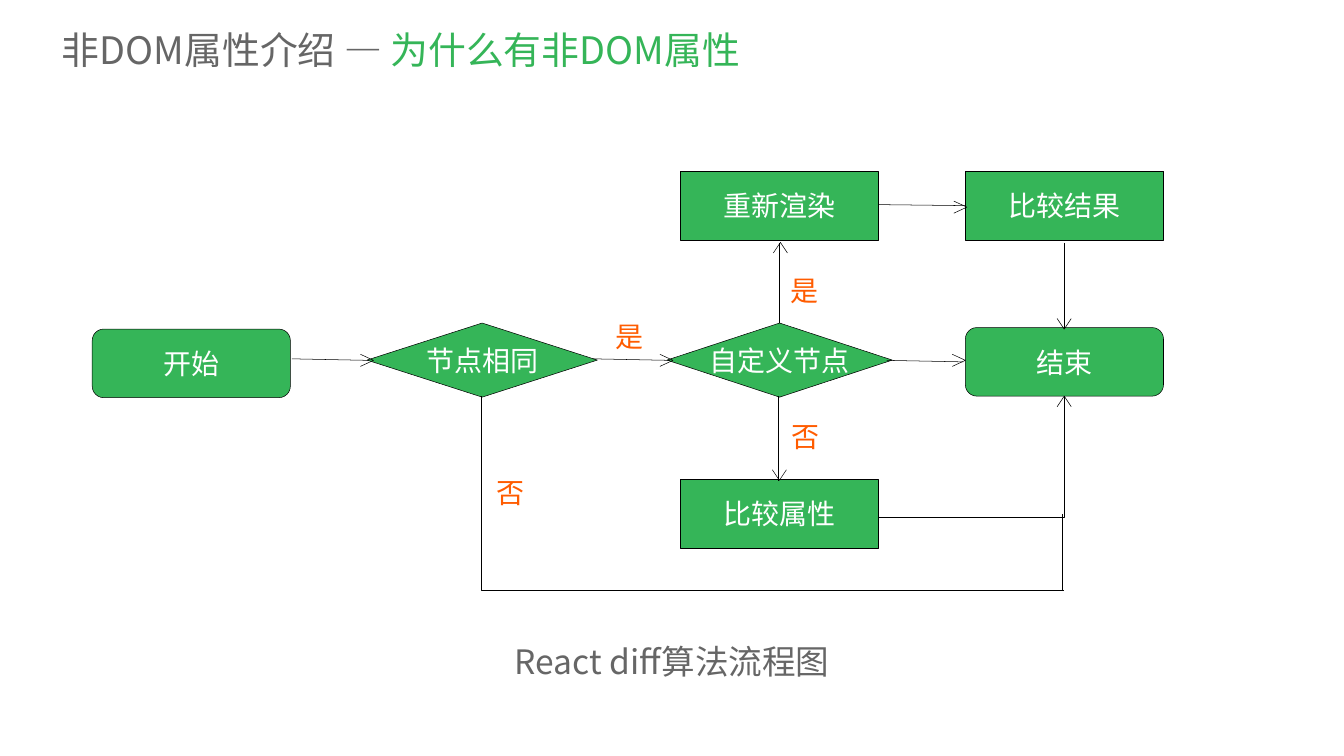
from dataclasses import dataclass

from lxml.etree import SubElement
from pptx import Presentation
from pptx.dml.color import RGBColor
from pptx.enum.shapes import MSO_CONNECTOR, MSO_SHAPE
from pptx.enum.text import MSO_ANCHOR, MSO_AUTO_SIZE, PP_ALIGN
from pptx.oxml.ns import qn
from pptx.util import Inches, Pt


@dataclass(frozen=True)
class Theme:
    green: str = "35B558"
    gray: str = "666666"
    orange: str = "FF5C00"
    white: str = "FFFFFF"
    black: str = "000000"
    latin: str = "Arial"
    asian: str = "Noto Sans CJK SC"
    title: int = 54
    note: int = 48
    body: int = 40
    line: float = 0.75
    thin: float = 0.5


def color(code):
    return RGBColor.from_string(code)


def add_run(para, text, *, size, fill, face, asian):
    run = para.add_run()
    run.text = text
    run.font.size = Pt(size)
    run.font.color.rgb = color(fill)
    run.font.name = face
    SubElement(run.font._element, qn("a:ea")).set("typeface", asian)


class Chart:
    def __init__(self, slide, theme):
        self.slide = slide
        self.theme = theme

    def stroke(self, line, width=None):
        line.color.rgb = color(self.theme.black)
        line.width = Pt(width or self.theme.line)

    def text(self, box, parts, *, size, face, align=PP_ALIGN.CENTER, grow=True):
        frame = self.slide.shapes.add_textbox(*map(Inches, box)).text_frame
        frame.word_wrap = True
        if grow:
            frame.auto_size = MSO_AUTO_SIZE.SHAPE_TO_FIT_TEXT
        else:
            frame.vertical_anchor = MSO_ANCHOR.MIDDLE
        para = frame.paragraphs[0]
        para.alignment = align
        for words, fill in parts:
            add_run(para, words, size=size, fill=fill, face=face,
                    asian=self.theme.asian)

    def node(self, kind, box, words):
        shape = self.slide.shapes.add_shape(kind, *map(Inches, box))
        shape.shadow.inherit = False
        shape.fill.solid()
        shape.fill.fore_color.rgb = color(self.theme.green)
        self.stroke(shape.line)
        frame = shape.text_frame
        frame.word_wrap = False
        frame.vertical_anchor = MSO_ANCHOR.MIDDLE
        para = frame.paragraphs[0]
        para.alignment = PP_ALIGN.CENTER
        add_run(para, words, size=self.theme.body, fill=self.theme.white,
                face=self.theme.latin, asian=self.theme.asian)

    def link(self, start, end, *, bend=None, shift=None, width=None):
        kind = MSO_CONNECTOR.ELBOW if bend else MSO_CONNECTOR.STRAIGHT
        line = self.slide.shapes.add_connector(kind, *map(Inches, start + end))
        self.stroke(line.line, width)
        props = line._element.spPr
        SubElement(props, qn("a:effectLst"))
        if bend:
            geom = props.find(qn("a:prstGeom"))
            geom.set("prst", bend)
            if shift is not None:
                guide = SubElement(geom.find(qn("a:avLst")), qn("a:gd"))
                guide.set("name", "adj1")
                guide.set("fmla", f"val {shift}")

    def head(self, tip, way):
        x, y = tip
        dx, dy = way
        depth, half = (0.26, 0.12) if dx else (0.21, 0.14)
        back = x - dx * depth, y - dy * depth
        wings = [(back[0] + s * dy * half, back[1] + s * dx * half) for s in (-1, 1)]
        first, *rest = [tuple(map(Inches, p)) for p in (wings[0], tip, wings[1])]
        pen = self.slide.shapes.build_freeform(*first)
        pen.add_line_segments(rest, close=False)
        shape = pen.convert_to_shape()
        shape.shadow.inherit = False
        shape.fill.background()
        self.stroke(shape.line)


def main():
    deck = Presentation()
    deck.slide_width, deck.slide_height = Inches(26.66), Inches(15)
    theme = Theme()
    chart = Chart(deck.slides.add_slide(deck.slide_layouts[6]), theme)

    # Title
    chart.text((1.13, 0.43, 25.15, 1.1),
               [("非DOM属性介绍 — ", theme.gray), ("为什么有非DOM属性", theme.green)],
               size=theme.title, face=theme.asian, align=PP_ALIGN.LEFT, grow=False)

    # Nodes
    test = MSO_SHAPE.FLOWCHART_DECISION
    step = MSO_SHAPE.FLOWCHART_PROCESS
    stop = MSO_SHAPE.FLOWCHART_ALTERNATE_PROCESS
    wide, tall = 3.93, 1.38
    mid, last, top = 13.49, 19.15, 3.39
    for kind, box, words in (
        (test, (7.28, 6.41, 4.57, 1.47), "节点相同"),
        (test, (13.23, 6.41, 4.47, 1.47), "自定义节点"),
        (step, (mid, 9.5, wide, tall), "比较属性"),
        (step, (mid, top, wide, tall), "重新渲染"),
        (stop, (last, 6.5, wide, 1.36), "结束"),
        (step, (last, top, wide, tall), "比较结果"),
        (stop, (1.83, 6.53, wide, 1.36), "开始"),
    ):
        chart.node(kind, box, words)

    # Bent routes to the end node
    chart.link((9.57, 7.87), (21.11, 11.71), bend="bentConnector3", shift=-200,
               width=theme.thin)
    chart.link((17.42, 10.27), (21.11, 7.86), bend="bentConnector2")
    chart.link((21.08, 11.71), (21.08, 10.19))

    # Straight links
    for start, end in (
        ((5.79, 7.12), (7.31, 7.15)),
        ((11.76, 7.12), (13.29, 7.15)),
        ((17.59, 7.15), (19.11, 7.18)),
        ((17.42, 4.06), (19.15, 4.08)),
        ((15.45, 6.41), (15.45, 4.82)),
        ((15.44, 7.86), (15.44, 9.54)),
        ((21.11, 4.82), (21.11, 6.5)),
    ):
        chart.link(start, end)

    # Arrowheads
    right, down, up = (1, 0), (0, 1), (0, -1)
    for tip, way in (
        ((7.41, 7.15), right),
        ((13.35, 7.15), right),
        ((19.15, 7.15), right),
        ((19.18, 4.11), right),
        ((21.11, 6.53), down),
        ((15.46, 9.53), down),
        ((21.11, 7.86), up),
        ((15.48, 4.81), up),
    ):
        chart.head(tip, way)

    # Branch labels
    for left, high, words in (
        (9.69, 9.38, "否"),
        (12.06, 6.3, "是"),
        (15.52, 5.37, "是"),
        (15.55, 8.27, "否"),
    ):
        chart.text((left, high, 0.86, 0.77), [(words, theme.orange)],
                   size=theme.body, face=theme.latin)

    # Caption
    chart.text((9.91, 12.66, 6.85, 0.9), [("React diff算法流程图", theme.gray)],
               size=theme.note, face=theme.asian)

    deck.save("out.pptx")


if __name__ == "__main__":
    main()
